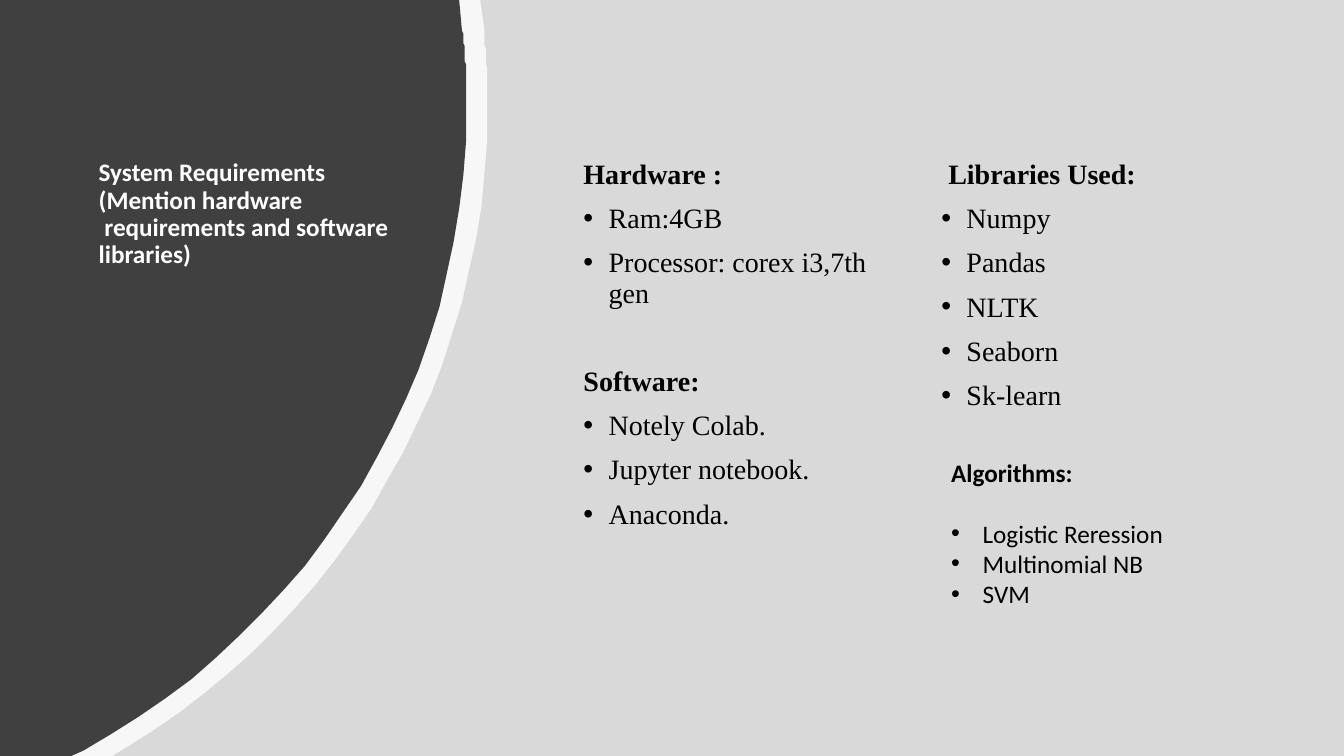
import pptx
import pptx.dml.color
import pptx.enum.text
import pptx.util
import lxml.etree

Pt = pptx.util.Pt
WIDTH, HEIGHT = 960, 540
NAMESPACE = "{http://schemas.openxmlformats.org/drawingml/2006/main}"


def colour(hex_code):
    """Return the colour for a hex string."""
    return pptx.dml.color.RGBColor.from_string(hex_code)


def paint(shape, hex_code, opacity=100):
    """Give a shape a flat fill without line or shadow."""
    shape.shadow.inherit = False
    shape.line.fill.background()
    shape.fill.solid()
    shape.fill.fore_color.rgb = colour(hex_code)
    if opacity < 100:
        fill = shape._element.spPr.find(f"{NAMESPACE}solidFill")
        lxml.etree.SubElement(fill[0], f"{NAMESPACE}alpha", val=str(opacity * 1000))


def curve(points, steps=24):
    """Return points along a cubic curve with four control points."""
    weights = (1, 3, 3, 1)
    result = []
    for step in range(1, steps + 1):
        t = step / steps
        factors = [weight * (1 - t) ** (3 - i) * t ** i for i, weight in enumerate(weights)]
        result.append(tuple(sum(f * point[axis] for f, point in zip(factors, points))
                            for axis in (0, 1)))
    return result


def add_disc(page, top_right, shoulder, bulge, bottom, hex_code, opacity=100):
    """Draw a panel from the left edge with a curved right side."""
    outline = [(top_right, 0), shoulder[0]]
    outline += curve(shoulder)
    outline += curve(bulge)
    outline += [(bottom, HEIGHT), (0, HEIGHT)]
    builder = page.shapes.build_freeform(0, 0, scale=Pt(1))
    builder.add_line_segments(outline, close=True)
    paint(builder.convert_to_shape(), hex_code, opacity)


def add_background(page):
    """Draw the grey ground and the two curved panels."""
    ground = page.shapes.add_shape(
        pptx.enum.shapes.MSO_SHAPE.RECTANGLE, 0, 0, Pt(WIDTH), Pt(HEIGHT))
    paint(ground, "D9D9D9")
    add_disc(page, 342.7,
             [(345.6, 20.9), (347, 38.9), (348.5, 57.6), (348.5, 75.6)],
             [(348.5, 75.6), (348.5, 270), (244.8, 439.9), (90, 534.2)],
             79.9, "FFFFFF", 80)
    add_disc(page, 327.6,
             [(330.5, 22.3), (332.6, 39.6), (333.4, 57.6), (333.4, 75.6)],
             [(333.4, 75.6), (333.4, 274.3), (222.5, 447.1), (59.8, 535.7)],
             51.1, "404040")


def add_frame(page, left, top, width, height):
    """Add a wrapping text box and return its text frame."""
    frame = page.shapes.add_textbox(Pt(left), Pt(top), Pt(width), Pt(height)).text_frame
    frame.word_wrap = True
    return frame


def add_span(para, text, font, size, hex_code, bold):
    """Add one formatted run."""
    span = para.add_run()
    span.text = text
    span.font.name = font
    span.font.size = Pt(size)
    span.font.bold = bold
    span.font.color.rgb = colour(hex_code)


def add_title(page, left, top, width, height):
    """Place the slide title with its line breaks."""
    para = add_frame(page, left, top, width, height).paragraphs[0]
    para.line_spacing = 0.9
    lines = ["System Requirements", "(Mention hardware",
             "\u00a0requirements and software libraries)".replace("\u00a0", " ")]
    for index, line in enumerate(lines):
        if index:
            para.add_line_break()
        add_span(para, line, "Calibri", 18, "FFFFFF", True)


def add_lists(page, box, groups, font, size, indent, spacing, gaps, heading_indent=0):
    """Fill a box with bold headings, each followed by its bullets."""
    heading_gap, first_gap, item_gap = gaps
    frame = add_frame(page, *box)
    para = frame.paragraphs[0]
    for number, (heading, items) in enumerate(groups):
        if number:
            para = frame.add_paragraph()
            para.space_before = Pt(heading_gap)
        para.line_spacing = spacing
        para._p.get_or_add_pPr().set("marL", str(Pt(heading_indent)))
        add_span(para, heading, font, size, "000000", True)
        for index, item in enumerate(items):
            para = frame.add_paragraph()
            para.line_spacing = spacing
            para.space_before = Pt(item_gap if index else first_gap)
            properties = para._p.get_or_add_pPr()
            properties.set("marL", str(Pt(indent)))
            properties.set("indent", str(-Pt(indent)))
            lxml.etree.SubElement(properties, f"{NAMESPACE}buFont", typeface="Arial")
            lxml.etree.SubElement(properties, f"{NAMESPACE}buChar", char="•")
            add_span(para, item, font, size, "000000", False)


def add_requirements(page, left, top, width, height):
    """Place the hardware and software lists."""
    groups = [("Hardware :", ["Ram:4GB", "Processor: corex i3,7th gen"]),
              ("Software:", ["Notely Colab.", "Jupyter notebook.", "Anaconda."])]
    add_lists(page, (left, top, width, height), groups,
              "Times New Roman", 20, 18, 0.9, (41.5, 10, 10))


def add_libraries(page, left, top, width, height):
    """Place the libraries list with the algorithms list below it."""
    libraries = ["Numpy", "Pandas", "NLTK", "Seaborn", "Sk-learn"]
    add_lists(page, (left, top, width, height), [("Libraries Used:", libraries)],
              "Times New Roman", 20, 18, 0.9, (0, 10, 10), 5)
    algorithms = ["Logistic Reression", "Multinomial NB", "SVM"]
    add_lists(page, (left + 7, top + 212.4, 203, 116), [("Algorithms:", algorithms)],
              "Calibri", 18, 22.5, 1.0, (0, 21.5, 0))


def main():
    """Build and save the deck."""
    deck = pptx.Presentation()
    deck.slide_width, deck.slide_height = Pt(WIDTH), Pt(HEIGHT)
    page = deck.slides.add_slide(deck.slide_layouts[6])
    add_background(page)
    add_title(page, 63.4, 110.9, 226, 170)
    add_requirements(page, 409.7, 110.9, 241, 343.4)
    add_libraries(page, 665.3, 110.9, 230.4, 343.4)
    deck.save("out.pptx")


if __name__ == "__main__":
    main()
